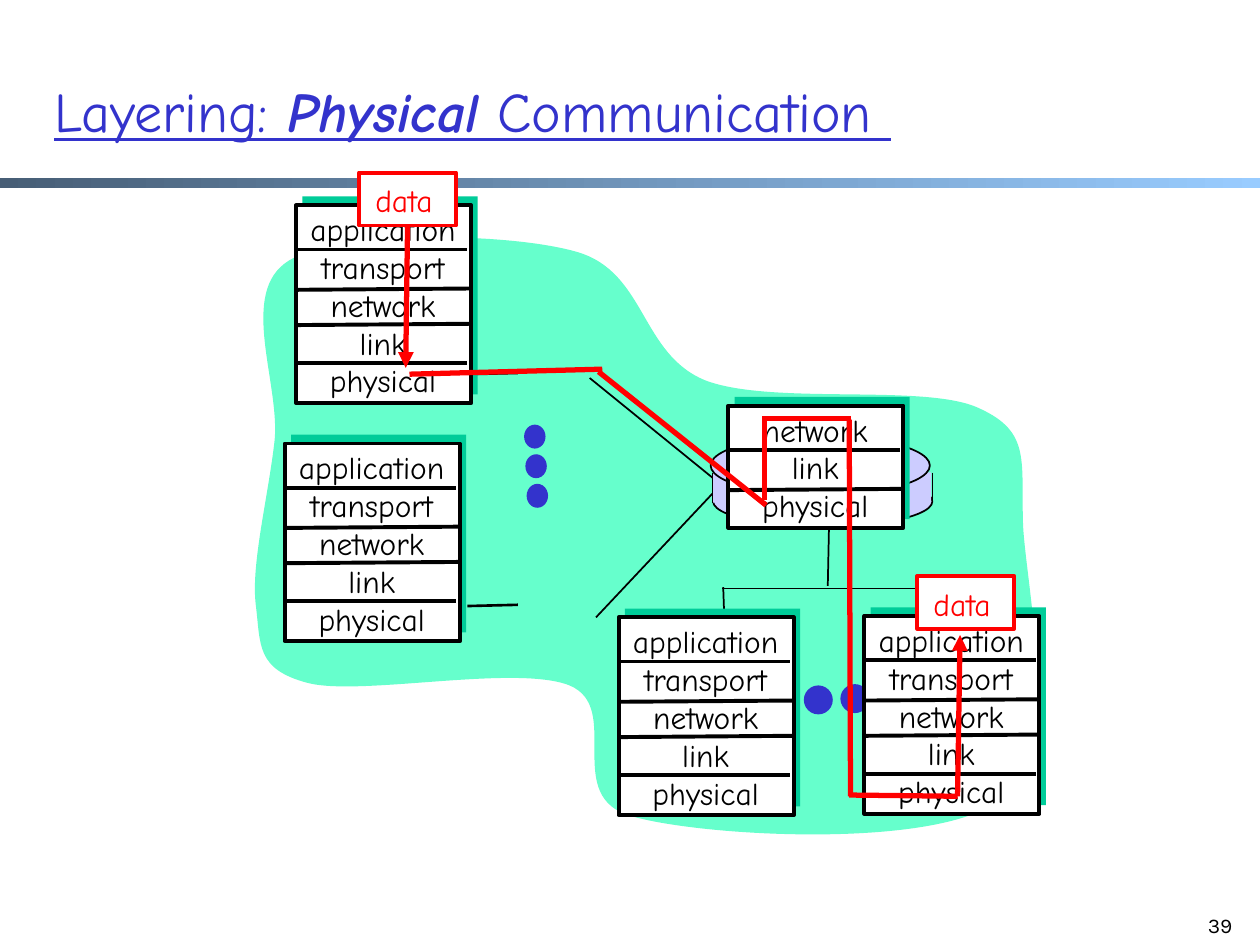
from typing import NamedTuple

from lxml import etree
from pptx import Presentation
from pptx.dml.color import RGBColor
from pptx.enum.shapes import MSO_CONNECTOR, MSO_SHAPE
from pptx.enum.text import MSO_ANCHOR, MSO_AUTO_SIZE, PP_ALIGN
from pptx.oxml.ns import qn
from pptx.util import Cm, Pt

RECT, ELLIPSE = MSO_SHAPE.RECTANGLE, MSO_SHAPE.OVAL
STRAIGHT = MSO_CONNECTOR.STRAIGHT
LEFT, CENTER, RIGHT = PP_ALIGN.LEFT, PP_ALIGN.CENTER, PP_ALIGN.RIGHT
MIDDLE, NO_FIT = MSO_ANCHOR.MIDDLE, MSO_AUTO_SIZE.NONE
BOTTOM = 2  # connection site

FONT, NUMBER_FONT = "Comic Neue", "Karla"
BLACK, WHITE, RED, BLUE = "000000", "FFFFFF", "FF0000", "3333CC"
MINT, GREEN, LILAC = "66FFCC", "00CC99", "CCCCFF"


class Box(NamedTuple):
    x: float
    y: float
    w: float
    h: float


class Line(NamedTuple):
    x1: float
    y1: float
    x2: float
    y2: float
    width: float = 1
    color: str = BLACK
    arrow: bool = False


class Stack(NamedTuple):
    x: float
    y: float
    layers: tuple


HOST_LAYERS = ("application", "transport", "network", "link", "physical")
ROUTER_LAYERS = HOST_LAYERS[2:]
STACKS = [
    Stack(2.35, 1.63, HOST_LAYERS),
    Stack(2.26, 3.52, HOST_LAYERS),
    Stack(4.91, 4.9, HOST_LAYERS),
    Stack(6.86, 4.89, HOST_LAYERS),
    Stack(5.78, 3.22, ROUTER_LAYERS),
]
# Offsets of the layer dividers from the corner of a stack, and their rise
DIVIDERS = [(-0.01, 0.35, 0), (0.01, 0.67, 0.01), (0.01, 0.95, 0.01), (-0.01, 1.25, 0)]

DOTS = [Box(4.16 + 0.01 * i, 3.37 + 0.235 * i, 0.17, 0.19) for i in range(3)]
DOTS += [Box(6.38, 5.44, 0.23, 0.23), Box(6.67, 5.43, 0.23, 0.23)]

SHORT_LINKS = [Line(3.71, 2.97, 4.11, 2.96, 1.5), Line(3.71, 4.81, 4.11, 4.8, 1.5)]
LINKS = [
    Line(5.73, 4.67, 7.47, 4.67),
    Line(5.74, 4.66, 5.75, 4.95),
    Line(4.68, 3, 5.69, 3.82),
    Line(4.73, 4.9, 5.69, 3.88),
    Line(6.57, 4.65, 6.58, 4.15),
]
DATA_PATH = [
    Line(3.22, 1.79, 3.22, 2.92, 3, RED, True),
    Line(6.74, 3.33, 6.75, 6.32, 3, RED),
    Line(6.07, 3.97, 6.07, 3.3, 3, RED),
    Line(6.06, 3.32, 6.75, 3.32, 3, RED),
    Line(6.74, 6.31, 7.6, 6.32, 3, RED),
    Line(7.6, 6.32, 7.62, 5.04, 3, RED, True),
    Line(3.25, 2.97, 4.78, 2.93, 3, RED),
    Line(4.75, 2.95, 6.08, 4.01, 3, RED),
]
CLOUD_START = (4.58, 2)
CLOUD_CURVES = [  # two control points and an end point each
    ((4.03, 1.84), (2.69, 1.83), (2.29, 2.07)),
    ((1.89, 2.32), (2.22, 3.03), (2.18, 3.49)),
    ((2.13, 3.94), (1.99, 4.48), (2.03, 4.8)),
    ((2.07, 5.12), (2.03, 5.31), (2.44, 5.42)),
    ((2.86, 5.53), (4.09, 5.27), (4.52, 5.44)),
    ((4.95, 5.62), (4.45, 6.33), (5.02, 6.48)),
    ((5.58, 6.64), (7.4, 6.74), (7.92, 6.36)),
    ((8.44, 5.98), (8.15, 4.7), (8.12, 4.18)),
    ((8.1, 3.66), (8.19, 3.43), (7.77, 3.24)),
    ((7.35, 3.04), (6.13, 3.22), (5.6, 3.02)),
    ((5.08, 2.81), (5.13, 2.16), (4.58, 2)),
]


def inch(value: float) -> Cm:
    return Cm(value * 2.54)


def rgb(color: str) -> RGBColor:
    return RGBColor.from_string(color)


def paint(sp, fill: str, line: str = "", width: float = 1) -> None:
    sp.shadow.inherit = False
    sp.fill.solid()
    sp.fill.fore_color.rgb = rgb(fill)
    if line:
        sp.line.color.rgb = rgb(line)
        sp.line.width = Pt(width)
    else:
        sp.line.fill.background()


def add_shape(shapes, kind, box: Box, fill: str, line: str = "", width: float = 1):
    sp = shapes.add_shape(kind, *map(inch, box))
    paint(sp, fill, line, width)
    return sp


def add_line(shapes, line: Line):
    c = shapes.add_connector(STRAIGHT, *map(inch, line[:4]))
    c.line.color.rgb = rgb(line.color)
    c.line.width = Pt(line.width)
    if line.arrow:
        etree.SubElement(c.line._get_or_add_ln(), qn("a:tailEnd"), type="triangle")
    etree.SubElement(c._element.spPr, qn("a:effectLst"))
    return c


def add_text(shapes, box: Box, text: str, color: str = BLACK, size: float = 18,
             font: str = FONT, align=CENTER) -> None:
    tf = shapes.add_textbox(*map(inch, box)).text_frame
    tf.word_wrap = False
    tf.text = text
    for p in tf.paragraphs:
        p.alignment = align
        for r in p.runs:
            r.font.size, r.font.name = Pt(size), font
            r.font.color.rgb = rgb(color)


def add_title(s) -> None:
    title = s.shapes.title
    title.left, title.top, title.width, title.height = map(inch, (0.33, 0.25, 9.17, 1.25))
    tf = title.text_frame
    tf.auto_size, tf.vertical_anchor, tf.word_wrap = NO_FIT, MIDDLE, True
    p = tf.paragraphs[0]
    p.alignment = LEFT
    for text, strong in (("Layering: ", False), ("Physical", True), (" Communication ", False)):
        r = p.add_run()
        r.text = text
        r.font.name, r.font.size, r.font.underline = FONT, Pt(32), True
        r.font.bold = r.font.italic = strong
        r.font.color.rgb = rgb(BLUE)


def add_bar(shapes) -> None:
    bar = add_shape(shapes, RECT, Box(0, 1.41, 10, 0.08), WHITE)
    bar.fill.gradient()
    bar.fill.gradient_angle = 0
    for stop, position, color in zip(bar.fill.gradient_stops, (0, 1), ("475E76", "99CCFF")):
        stop.position = position
        stop.color.rgb = rgb(color)


def add_cloud(shapes) -> None:
    """Draw the network cloud: a polygon whose points are regrouped into Bézier curves."""
    builder = shapes.build_freeform(*map(inch, CLOUD_START))
    points = [tuple(map(inch, point)) for curve in CLOUD_CURVES for point in curve]
    builder.add_line_segments(points, close=True)
    cloud = builder.convert_to_shape()
    paint(cloud, MINT)
    segments = list(cloud._element.iter(qn("a:lnTo")))
    for i in range(0, len(segments), 3):
        first, *rest = segments[i:i + 3]
        first.tag = qn("a:cubicBezTo")
        for segment in rest:
            first.append(segment[0])
            segment.getparent().remove(segment)


def add_router(shapes) -> None:
    add_shape(shapes, ELLIPSE, Box(5.66, 3.78, 1.74, 0.4), LILAC, BLACK)
    for x in (5.66, 7.4):
        add_line(shapes, Line(x, 3.75, x, 3.99))
    add_shape(shapes, RECT, Box(5.66, 3.75, 1.73, 0.24), LILAC)
    add_shape(shapes, ELLIPSE, Box(5.64, 3.46, 1.74, 0.47), LILAC, BLACK)


def add_network(shapes) -> None:
    add_cloud(shapes)
    for link in SHORT_LINKS:
        add_line(shapes, link)
    for dot in DOTS:
        add_shape(shapes, ELLIPSE, dot, BLUE)
    for link in LINKS:
        add_line(shapes, link)
    add_router(shapes)


def add_stack(shapes, stack: Stack) -> None:
    x, y, layers = stack
    height = 0.3 * len(layers)
    add_shape(shapes, RECT, Box(x + 0.05, y - 0.07, 1.39, height + 0.07), GREEN)
    add_shape(shapes, RECT, Box(x, y, 1.39, height + 0.07), WHITE, BLACK, 2.25)
    add_text(shapes, Box(x - 0.03, y - 0.01, 1.44, height + 0.1), "\n".join(layers))
    for (dx, dy, rise), _ in zip(DIVIDERS, layers[1:]):
        add_line(shapes, Line(x + dx, y + dy, x + dx + 1.37, y + dy - rise, 2.25))


def add_data(shapes, x: float, y: float):
    sp = add_shape(shapes, RECT, Box(x, y, 0.77, 0.42), WHITE, RED, 2.25)
    add_text(shapes, Box(x + 0.03, y + 0.02, 0.72, 0.4), "data", RED, align=LEFT)
    return sp


def main() -> None:
    prs = Presentation()
    prs.slide_width, prs.slide_height = inch(10), inch(7.5)
    s = prs.slides.add_slide(prs.slide_layouts[5])
    shapes = s.shapes
    add_bar(shapes)
    add_title(s)
    add_text(shapes, Box(9.38, 7.19, 0.5, 0.5), "39", size=12, font=NUMBER_FONT, align=RIGHT)
    add_network(shapes.add_group_shape().shapes)
    for stack in STACKS:
        add_stack(shapes.add_group_shape().shapes, stack)
    down, *_ = [add_line(shapes, line) for line in DATA_PATH]
    add_data(shapes.add_group_shape().shapes, 7.28, 4.57)
    source = add_data(shapes.add_group_shape().shapes, 2.85, 1.37)
    down.begin_connect(source, BOTTOM)
    prs.save("out.pptx")


if __name__ == "__main__":
    main()
